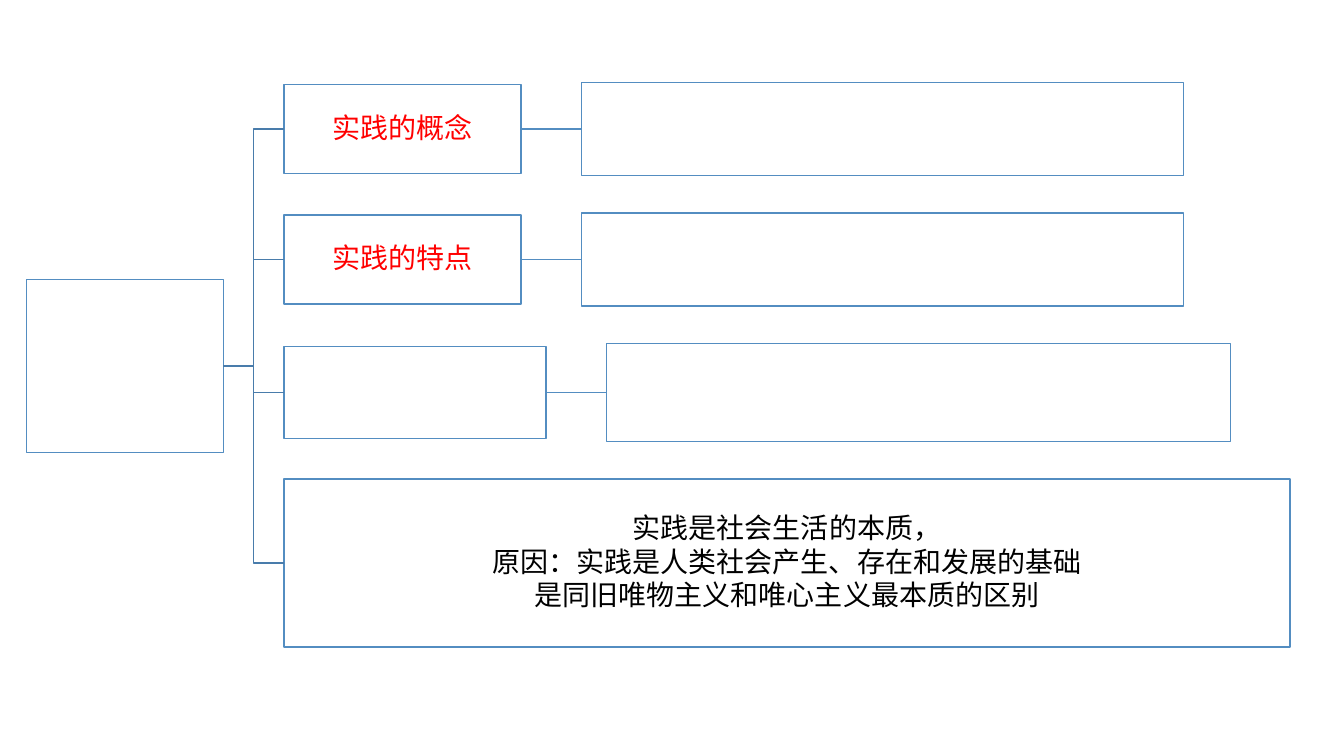
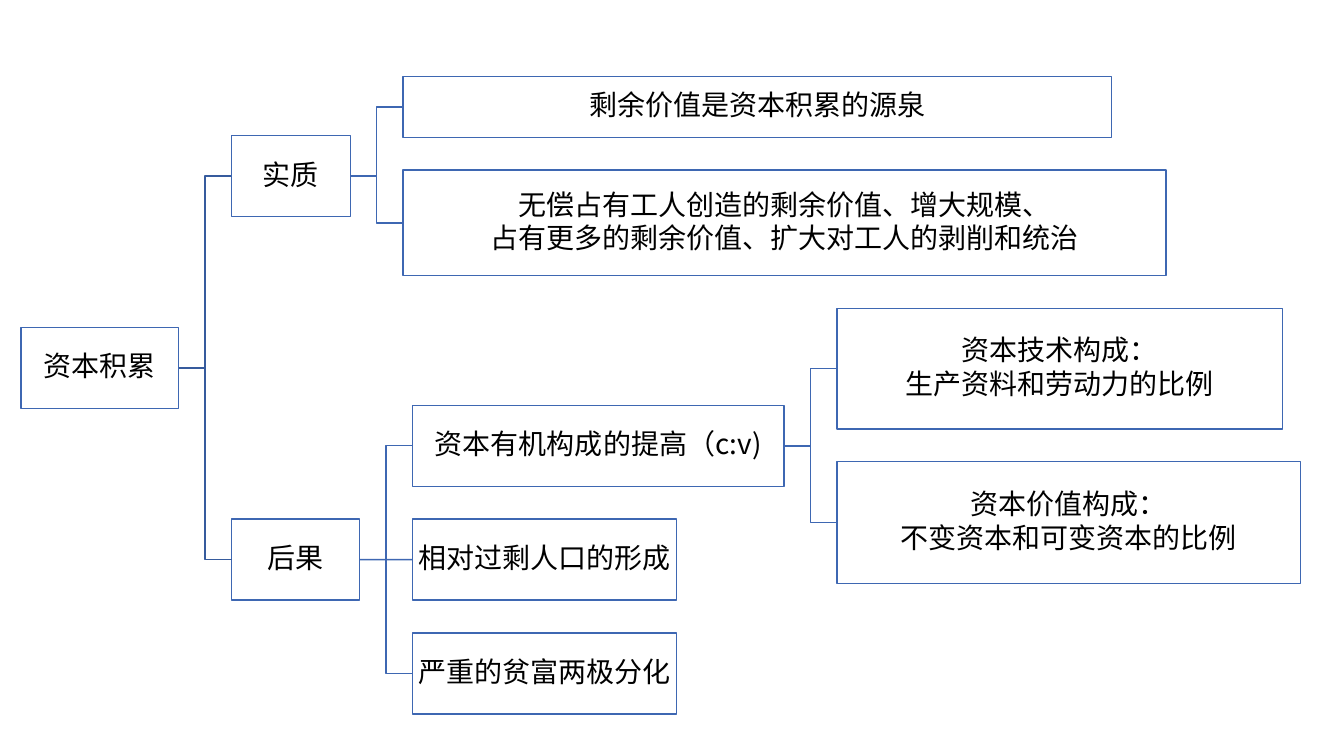
from lxml import etree
from pptx import Presentation
from pptx.dml.color import RGBColor
from pptx.enum.shapes import MSO_CONNECTOR, MSO_SHAPE
from pptx.enum.text import MSO_ANCHOR, PP_ALIGN
from pptx.oxml.ns import qn
from pptx.util import Cm, Pt

RECTANGLE = MSO_SHAPE.RECTANGLE
STRAIGHT, ELBOW = MSO_CONNECTOR.STRAIGHT, MSO_CONNECTOR.ELBOW
CENTER, MIDDLE = PP_ALIGN.CENTER, MSO_ANCHOR.MIDDLE
LEFT_SIDE, RIGHT_SIDE = 1, 3
FONT = "Noto Sans CJK SC"
WHITE, BLACK, RED = "FFFFFF", "000000", "FF0000"


def color(value):
    return RGBColor.from_string(value)


class TreeDiagram:
    """Draws a left-to-right tree of boxes on a new slide."""

    def __init__(self, presentation, line, root_line, link_length):
        self.slide = presentation.slides.add_slide(presentation.slide_layouts[6])
        self.line = line
        self.root_line = root_line
        self.link_length = Cm(link_length)

    def box(self, left, top, width, height, lines=(), text_color=BLACK):
        shape = self.slide.shapes.add_shape(RECTANGLE, left, top, width, height)
        shape.shadow.inherit = False
        shape.fill.solid()
        shape.fill.fore_color.rgb = color(WHITE)
        shape.line.color.rgb = color(self.line)
        shape.line.width = Pt(1)
        frame = shape.text_frame
        frame.word_wrap = True
        frame.vertical_anchor = MIDDLE
        frame.margin_left = frame.margin_right = Cm(0.03)
        frame.margin_top = frame.margin_bottom = Cm(0.03)
        for index, text in enumerate(lines):
            paragraph = frame.add_paragraph() if index else frame.paragraphs[0]
            self.add_text(paragraph, text, text_color)
        return shape

    def add_text(self, paragraph, text, text_color):
        paragraph.alignment = CENTER
        paragraph.line_spacing = 0.9
        paragraph.space_after = Pt(2.5)
        run = paragraph.add_run()
        run.text = text
        run.font.size = Pt(20)
        run.font.name = FONT
        run.font.color.rgb = color(text_color)
        east_asian = etree.SubElement(run.font._element, qn("a:ea"))
        east_asian.set("typeface", FONT)

    def stack(self, top, gap, rows):
        shapes = []
        for left, width, height, lines in rows:
            shapes.append(self.box(Cm(left), Cm(top), Cm(width), Cm(height), lines))
            top += height + gap
        return shapes

    def parent(self, children, width, height, lines=(), text_color=BLACK, root=False):
        span_top = min(child.top for child in children)
        span_bottom = max(child.top + child.height for child in children)
        left = children[0].left - self.link_length - Cm(width)
        top = (span_top + span_bottom - Cm(height)) // 2
        shape = self.box(left, top, Cm(width), Cm(height), lines, text_color)
        for child in children:
            self.link(shape, child, self.root_line if root else self.line)
        return shape

    def link(self, parent, child, line):
        rise = parent.top + parent.height // 2 - child.top - child.height // 2
        kind = STRAIGHT if abs(rise) < Cm(0.05) else ELBOW
        connector = self.slide.shapes.add_connector(kind, 0, 0, 0, 0)
        connector.begin_connect(parent, RIGHT_SIDE)
        connector.end_connect(child, LEFT_SIDE)
        connector.line.color.rgb = color(line)
        connector.line.width = Pt(1)
        etree.SubElement(connector._element.spPr, qn("a:effectLst"))


def practice_slide(presentation):
    diagram = TreeDiagram(presentation, "538DC1", "497CAB", 1.53)
    *details, conclusion = diagram.stack(2.08, 0.95, [
        (14.66, 15.16, 2.34, []),
        (14.66, 15.16, 2.34, []),
        (15.29, 15.72, 2.46, []),
        (7.16, 25.35, 4.24, ["实践是社会生活的本质，",
                             "原因：实践是人类社会产生、存在和发展的基础",
                             "是同旧唯物主义和唯心主义最本质的区别"]),
    ])
    labels = [(5.97, 2.24, ["实践的概念"]), (5.97, 2.24, ["实践的特点"]), (6.6, 2.31, [])]
    topics = [diagram.parent([detail], *label, text_color=RED)
              for detail, label in zip(details, labels)]
    diagram.parent(topics + [conclusion], 4.96, 4.36, root=True)


def capital_slide(presentation):
    diagram = TreeDiagram(presentation, "3E67B2", "365B9D", 1.33)
    source, occupation, technical, value = diagram.stack(1.93, 0.82, [
        (10.16, 17.86, 1.53, ["剩余价值是资本积累的源泉"]),
        (10.16, 19.23, 2.67, ["无偿占有工人创造的剩余价值、增大规模、",
                              "占有更多的剩余价值、扩大对工人的剥削和统治"]),
        (21.09, 11.23, 3.04, ["资本技术构成：", "生产资料和劳动力的比例"]),
        (21.09, 11.68, 3.07, ["资本价值构成：", "不变资本和可变资本的比例"]),
    ])
    composition = diagram.parent([technical, value], 9.37, 2.04, ["资本有机构成的提高（c:v)"])
    effects = diagram.stack(13.08, 0.83, [
        (10.39, 6.66, 2.04, ["相对过剩人口的形成"]),
        (10.39, 6.66, 2.04, ["严重的贫富两极分化"]),
    ])
    essence = diagram.parent([source, occupation], 3, 2.04, ["实质"])
    consequence = diagram.parent([composition] + effects, 3.22, 2.04, ["后果"])
    diagram.parent([essence, consequence], 3.97, 2.04, ["资本积累"], root=True)


def main():
    presentation = Presentation()
    presentation.slide_width = Cm(33.87)
    presentation.slide_height = Cm(19.05)
    practice_slide(presentation)
    capital_slide(presentation)
    presentation.save("out.pptx")


if __name__ == "__main__":
    main()
